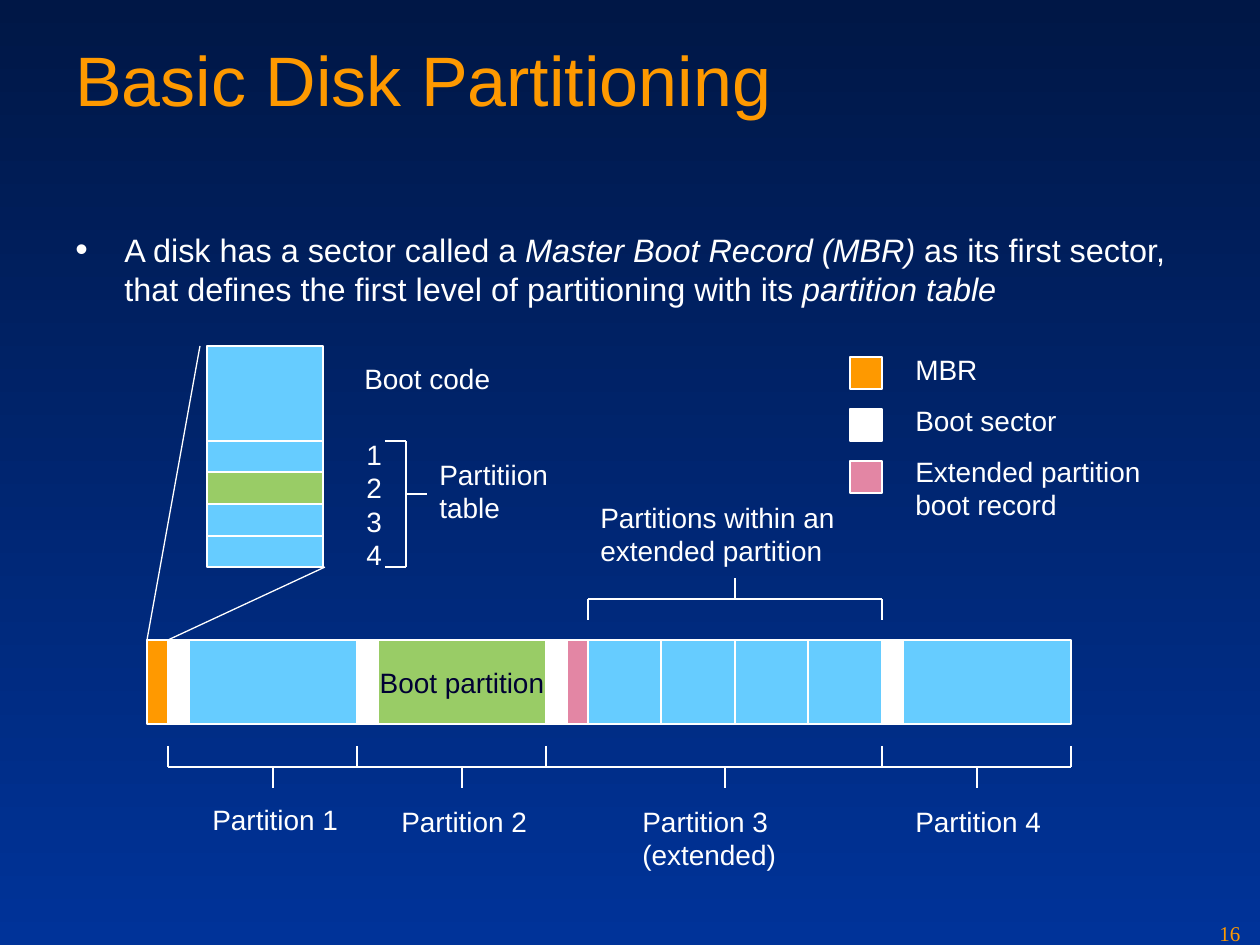
from lxml import etree
from pptx import Presentation
from pptx.dml.color import RGBColor
from pptx.enum.shapes import MSO_CONNECTOR, MSO_SHAPE
from pptx.enum.text import MSO_ANCHOR, MSO_AUTO_SIZE, PP_ALIGN
from pptx.oxml.ns import qn
from pptx.util import Pt

RECT = MSO_SHAPE.RECTANGLE
LINE = MSO_CONNECTOR.STRAIGHT
GROW = MSO_AUTO_SIZE.SHAPE_TO_FIT_TEXT
MIDDLE = MSO_ANCHOR.MIDDLE
CENTER = PP_ALIGN.CENTER
SCALE = 914400 / 126
STEP = 21
THIN = Pt(0.74)
HEX = {
    "top": "001746", "base": "003399", "title": "FE9900", "mbr": "FF9900",
    "sky": "66CCFF", "green": "99CC66", "pink": "E386A4", "white": "FFFFFF",
    "ink": "000033",
}


def px(n):
    return round(n * SCALE)


def tint(name):
    return RGBColor.from_string(HEX[name])


def style(para, size=16, color="white", face="Arial"):
    para.font.size = Pt(size)
    para.font.name = face
    para.font.color.rgb = tint(color)


def label(shapes, box, text, wrap=False, grow=True, gap=0, **look):
    frame = shapes.add_textbox(*map(px, box)).text_frame
    frame.word_wrap = wrap
    if grow:
        frame.auto_size = GROW
    for i, part in enumerate([text] if isinstance(text, str) else text):
        para = frame.paragraphs[0] if i == 0 else frame.add_paragraph()
        para.text = part
        style(para, **look)
        if i and gap:
            para.space_before = Pt(gap)


def tile(shapes, box, color):
    rect = shapes.add_shape(RECT, *map(px, box))
    rect.shadow.inherit = False
    rect.fill.solid()
    rect.fill.fore_color.rgb = tint(color)
    rect.line.color.rgb = tint("white")
    rect.line.width = THIN
    return rect


def rule(shapes, *ends):
    line = shapes.add_connector(LINE, *map(px, ends))
    line.line.color.rgb = tint("white")
    line.line.width = THIN
    etree.SubElement(line._element.spPr, qn("a:effectLst"))


def comb(shapes, y, ticks, stems, turn):
    rule(shapes, ticks[0], y, ticks[-1], y)
    for x in ticks:
        rule(shapes, x, y - turn * STEP, x, y)
    for x in stems:
        rule(shapes, x, y, x, y + turn * STEP)


def bullet(shapes, box, runs):
    frame = shapes.add_textbox(*map(px, box)).text_frame
    frame.word_wrap = True
    para = frame.paragraphs[0]
    props = para._p.get_or_add_pPr()
    props.set("marL", str(px(49)))
    props.set("indent", str(-px(49)))
    hue = etree.SubElement(props, qn("a:buClr"))
    etree.SubElement(hue, qn("a:srgbClr"), val=HEX["white"])
    etree.SubElement(props, qn("a:buSzPct"), val="110000")
    etree.SubElement(props, qn("a:buFont"), typeface="Arial")
    etree.SubElement(props, qn("a:buChar"), char="•")
    style(para, 18.5)
    para.space_after = Pt(5)
    for text, slant in runs:
        run = para.add_run()
        run.text = text
        run.font.italic = slant


def record(shapes, x, y):
    top = y
    for high, color in ((95, "sky"), (31, "sky"), (32, "green"),
                        (32, "sky"), (31, "sky")):
        tile(shapes, (x, top, 116, high), color)
        top += high
    label(shapes, (x + 145, y + 9, 151, 47), "Boot code")
    label(shapes, (x + 147, y + 85, 42, 147), "1\n2\n3\n4")
    label(shapes, (x + 220, y + 105, 141, 81), "Partitiion\ntable")
    edge = x + 199
    for side in (y + 95, y + 221):
        rule(shapes, edge - STEP, side, edge, side)
    rule(shapes, edge, y + 148, edge + STEP, y + 148)
    rule(shapes, edge, y + 95, edge, y + 221)


def disk(shapes, x, y):
    parts = [(21, "mbr"), (21, "white"), (168, "sky"), (21, "white"),
             (168, "green"), (21, "white"), (21, "pink"), (73, "sky"),
             (74, "sky"), (73, "sky"), (74, "sky"), (21, "white"),
             (168, "sky")]
    left = x
    for wide, color in parts:
        part = tile(shapes, (left, y, wide, 84), color)
        left += wide
        if color == "green":
            frame = part.text_frame
            frame.word_wrap = False
            frame.vertical_anchor = MIDDLE
            para = frame.paragraphs[0]
            para.text = "Boot partition"
            para.alignment = CENTER
            style(para, color="ink")
    comb(shapes, y + 127, [x + n for n in (21, 210, 399, 735, 924)],
         [x + n for n in (126, 315, 578, 830)], 1)
    comb(shapes, y - 41, (x + 441, x + 735), [x + 588], -1)
    label(shapes, (x + 441, y - 146, 267, 81),
          "Partitions within an\nextended partition")
    for left, top, wide, high, text in (
            (53, 156, 151, 47, "Partition 1"),
            (242, 158, 151, 47, "Partition 2"),
            (483, 158, 159, 81, "Partition 3\n(extended)"),
            (756, 158, 151, 47, "Partition 4")):
        label(shapes, (x + left, y + top, wide, high), text)


def legend(shapes, x, y):
    for i, color in enumerate(("title", "white", "pink")):
        tile(shapes, (x, y + 11 + i * 52, 32, 32), color)
    label(shapes, (x + 53, y, 294, 183),
          ("MBR", "Boot sector", "Extended partition\nboot record"),
          wrap=True, gap=10)


def build():
    deck = Presentation()
    deck.slide_width, deck.slide_height = px(1260), px(945)
    slide = deck.slides.add_slide(deck.slide_layouts[6])
    fill = slide.background.fill
    fill.gradient()
    fill.gradient_angle = 270
    for stop, color, spot in zip(fill.gradient_stops, ("top", "base"), (0, 1)):
        stop.color.rgb = tint(color)
        stop.position = spot
    shapes = slide.shapes
    label(shapes, (63, 30, 1134, 158), "Basic Disk Partitioning",
          wrap=True, grow=False, size=40, color="title")
    bullet(shapes, (63, 224, 1134, 112), (
        ("A disk has a sector called a ", False),
        ("Master Boot Record (MBR)", True),
        (" as its first sector, that defines the first level of "
         "partitioning with its ", False),
        ("partition table", True)))
    record(shapes, 207, 346)
    disk(shapes, 147, 640)
    rule(shapes, 168, 640, 325, 567)
    rule(shapes, 147, 640, 200, 346)
    legend(shapes, 850, 346)
    label(shapes, (1207, 914, 53, 31), "16", wrap=True, grow=False,
          size=12, color="title", face="Times New Roman")
    deck.save("out.pptx")


if __name__ == "__main__":
    build()
